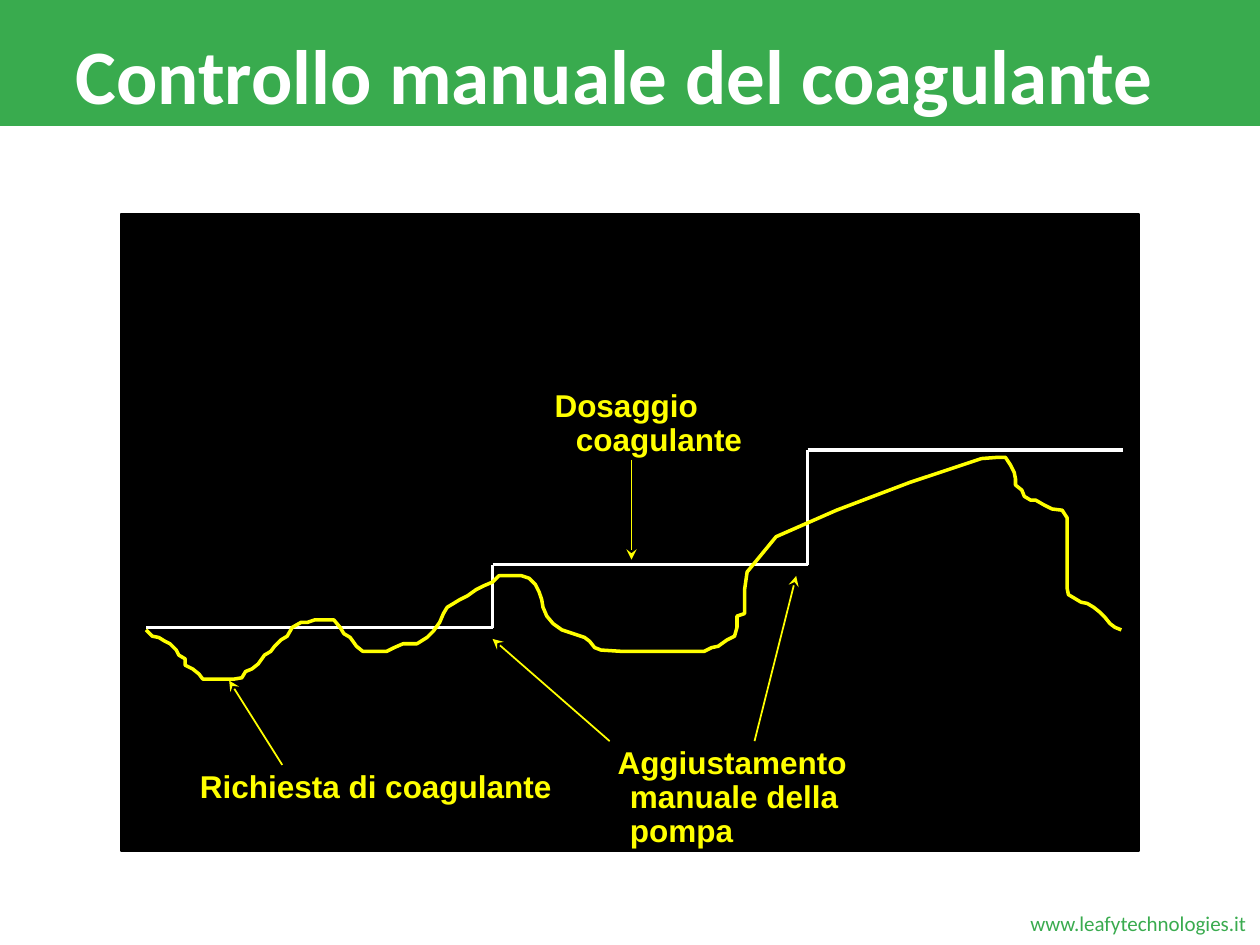
from itertools import pairwise

from lxml import etree
from pptx import Presentation
from pptx.enum import shapes, text
from pptx.dml.color import RGBColor
from pptx.oxml.ns import qn
from pptx.util import Cm, Pt

# Content: positions in centimetres
COLORS = {"green": "39AB4E", "white": "FFFFFF", "black": "000000", "yellow": "FFFF00"}

BAND = (-0.64, 0, 26.87, 2.54)
PANEL = (2.44, 4.32, 20.52, 12.83)
TITLE = ("Controllo manuale del coagulante", (1.27, 0.43, 23.5, 2.11))
WEBSITE = ("www.leafytechnologies.it", (20.52, 18.24, 4.88, 0.79))

# Text, frame, first-line indent
LABELS = [
    ("Dosaggio coagulante", (10.57, 7.75, 4.98, 1.65), -0.43),
    ("Aggiustamento manuale della pompa", (11.66, 14.94, 6.4, 2.34), -0.25),
    ("Richiesta di coagulante", (3.78, 15.42, 7.87, 0.94), -0.79),
]
HANGING = 0.79

DOSAGE_STEPS = [(2.95, 12.65), (9.93, 12.65), (9.93, 11.38),
                (16.28, 11.38), (16.28, 9.07), (22.63, 9.07)]

ARROWS = [
    ((15.21, 14.94), (16.05, 11.61)),
    ((12.29, 14.94), (9.93, 12.88)),
    ((12.73, 9.27), (12.73, 11.28)),
    ((5.69, 15.42), (4.62, 13.72)),
]

# Coagulant demand, in units of CURVE_UNIT centimetres
CURVE_UNIT = 0.0254
DEMAND = [
    (116, 500), (121, 505), (126, 506), (131, 509), (135, 511), (140, 516),
    (142, 520), (147, 523), (147, 528), (153, 531), (158, 535), (161, 539),
    (186, 539), (192, 538), (195, 533), (200, 531), (205, 527), (210, 520),
    (215, 517), (218, 513), (223, 508), (228, 505), (232, 498), (239, 494),
    (244, 494), (250, 492), (265, 492), (270, 498), (273, 503), (278, 506),
    (283, 513), (288, 517), (307, 517), (313, 514), (320, 511), (331, 511),
    (339, 506), (344, 501), (349, 494), (352, 487), (355, 482), (360, 479),
    (365, 476), (371, 473), (378, 468), (384, 465), (391, 462), (396, 457),
    (414, 457), (420, 459), (425, 464), (428, 470), (430, 476), (431, 482),
    (434, 489), (439, 495), (446, 500), (464, 506), (468, 509), (472, 514),
    (477, 516), (493, 517), (559, 517), (565, 514), (570, 513), (577, 508),
    (583, 505), (585, 498), (585, 489), (591, 487), (591, 468), (593, 454),
    (616, 426), (664, 405), (722, 383), (779, 364), (792, 363), (798, 363),
    (802, 369), (805, 375), (806, 380), (806, 385), (811, 389), (813, 394),
    (818, 397), (822, 397), (829, 401), (835, 404), (843, 405), (847, 411),
    (847, 467), (848, 472), (853, 475), (858, 478), (863, 479), (868, 482),
    (873, 486), (877, 490), (881, 495), (885, 498), (890, 500),
]


def color(name):
    return RGBColor.from_string(COLORS[name])


def add_block(page, frame, fill):
    block = page.shapes.add_shape(shapes.MSO_SHAPE.RECTANGLE, *map(Cm, frame))
    block.shadow.inherit = False
    block.fill.solid()
    block.fill.fore_color.rgb = color(fill)
    block.line.fill.background()
    return block


def add_text(page, words, frame, font, size, ink, bold=False, wrap=True):
    box = page.shapes.add_textbox(*map(Cm, frame))
    box.text_frame.word_wrap = wrap
    para = box.text_frame.paragraphs[0]
    para.text = words
    para.font.name, para.font.size, para.font.bold = font, Pt(size), bold
    para.font.color.rgb = color(ink)
    return box


def add_line(page, start, end, ink, width, arrow=False):
    line = page.shapes.add_connector(
        shapes.MSO_CONNECTOR.STRAIGHT, *map(Cm, start + end))
    line.line.color.rgb = color(ink)
    line.line.width = Pt(width)
    if arrow:
        etree.SubElement(line.line._get_or_add_ln(), qn("a:tailEnd"), type="stealth")
    etree.SubElement(line._element.spPr, qn("a:effectLst"))


deck = Presentation()
deck.slide_width, deck.slide_height = Cm(25.4), Cm(19.05)
page = deck.slides.add_slide(deck.slide_layouts[6])

# Header and footer
add_block(page, BAND, "green")
add_text(page, *WEBSITE, "Calibri", 12, "green", wrap=False)
title = add_text(page, *TITLE, "Calibri", 44, "white", bold=True)
title.text_frame.vertical_anchor = text.MSO_ANCHOR.MIDDLE

# Chart background
panel = add_block(page, PANEL, "black")
panel.line.color.rgb = color("black")
panel.line.width = Pt(1)

# Stepped dosage line
for start, end in pairwise(DOSAGE_STEPS):
    add_line(page, start, end, "white", 2)

# Demand curve
builder = page.shapes.build_freeform(*DEMAND[0], scale=Cm(CURVE_UNIT))
builder.add_line_segments(DEMAND[1:], close=False)
curve = builder.convert_to_shape()
curve.shadow.inherit = False
curve.fill.background()
curve.line.color.rgb = color("yellow")
curve.line.width = Pt(2)

# Labels with hanging indents, and their arrows
for words, frame, indent in LABELS:
    box = add_text(page, words, frame, "Arial", 18, "yellow", bold=True)
    para = box.text_frame.paragraphs[0]
    para.line_spacing = 0.9
    properties = para._p.get_or_add_pPr()
    properties.set("marL", str(Cm(HANGING)))
    properties.set("indent", str(Cm(indent)))

for start, end in ARROWS:
    add_line(page, start, end, "yellow", 1, arrow=True)

deck.save("out.pptx")
